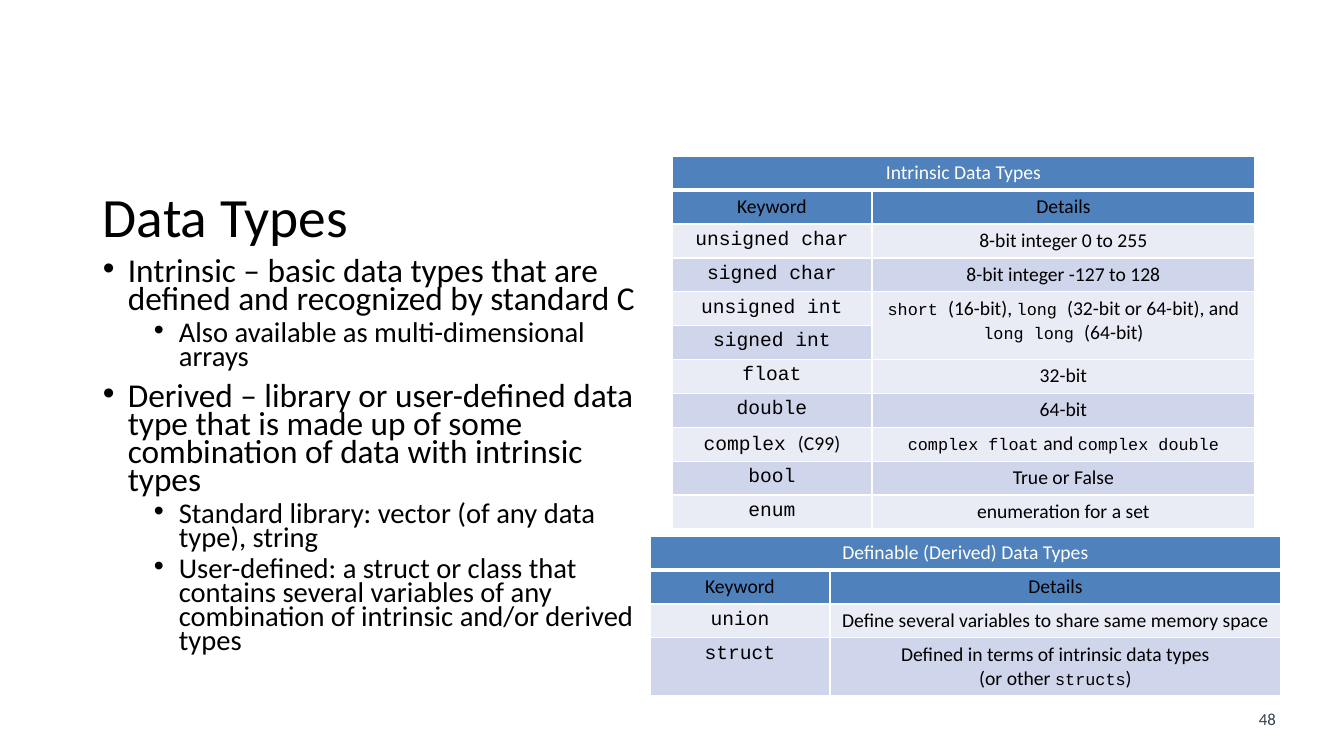
"""Build a slide that lists intrinsic and derived data types."""
from dataclasses import dataclass

from lxml import etree
from pptx import Presentation, util as u
from pptx.dml.color import RGBColor
from pptx.enum import text as t
from pptx.oxml import ns

TITLE = "Data Types"
PAGE_NUMBER = "48"
BULLETS = [
    (0, "Intrinsic – basic data types that are defined and recognized by standard C"),
    (1, "Also available as multi-dimensional arrays"),
    (0, "Derived – library or user-defined data type that is made up of some "
        "combination of data with intrinsic types"),
    (1, "Standard library: vector (of any data type), string"),
    (1, "User-defined: a struct or class that contains several variables of any "
        "combination of intrinsic and/or derived types"),
]
INTRINSIC = [
    ("Intrinsic Data Types", ""),
    ("Keyword", "Details"),
    ("`unsigned char`", "8-bit integer 0 to 255"),
    ("`signed char`", "8-bit integer -127 to 128"),
    ("`unsigned int`", "`short `(16-bit), `long `(32-bit or 64-bit), and `long long `(64-bit)"),
    ("`signed int`", ""),
    ("`float`", "32-bit"),
    ("`double`", "64-bit"),
    ("`complex `(C99)", "`complex float` and `complex double`"),
    ("`bool`", "True or False"),
    ("`enum`", "enumeration for a set"),
]
DERIVED = [
    ("Definable (Derived) Data Types", ""),
    ("Keyword", "Details"),
    ("`union`", "Define several variables to share same memory space"),
    ("`struct`", "Defined in terms of intrinsic data types\n(or other `structs`)"),
]
TABLES = [
    dict(rows=INTRINSIC, left=672, top=156, widths=(200, 383),
         special_heights={4: 32, 5: 32}, merges=[(0, 0, 0, 1), (4, 1, 5, 1)]),
    dict(rows=DERIVED, left=650, top=536, widths=(180, 451),
         special_heights={3: 58}, merges=[(0, 0, 0, 1)]),
]
LEVELS = [dict(size=23.8, margin=25, before=10), dict(size=20.4, margin=76, before=5)]
HANGING = 25
ROW_HEIGHT = 34


@dataclass(frozen=True)
class Theme:
    body_font: str = "Calibri"
    code_font: str = "Courier New"
    ink: str = "000000"
    white: str = "FFFFFF"
    page: str = "333F50"
    header: str = "4F81BD"
    bands: tuple = ("E9EBF5", "CFD5EA")
    title_size: float = 39.6
    cell_size: float = 14
    code_size: float = 12
    page_size: float = 12


THEME = Theme()


def px(count):
    return u.Emu(round(count * 914400 / 100.8))


def write(paragraph, content, size, color=THEME.ink, code_size=None,
          align=t.PP_ALIGN.LEFT, spacing=None, before=0):
    """Write text into a paragraph, with backticks around code."""
    paragraph.alignment = align
    paragraph.space_before = u.Pt(before)
    if spacing:
        paragraph.line_spacing = spacing
    for part, chunk in enumerate(content.split("`")):
        is_code = part % 2 == 1
        for number, line in enumerate(chunk.split("\n")):
            if number:
                paragraph.add_line_break()
            if line:
                run = paragraph.add_run()
                run.text = line
                run.font.name = THEME.code_font if is_code else THEME.body_font
                run.font.size = u.Pt(code_size if is_code and code_size else size)
                run.font.bold = False
                run.font.color.rgb = RGBColor.from_string(color)


def add_text_box(slide, left, top, width, height, anchor=t.MSO_ANCHOR.TOP):
    frame = slide.shapes.add_textbox(*map(px, (left, top, width, height))).text_frame
    frame.word_wrap = True
    frame.vertical_anchor = anchor
    return frame


def add_bullet(paragraph, margin):
    properties = paragraph._p.get_or_add_pPr()
    properties.set("marL", str(px(margin)))
    properties.set("indent", str(-px(HANGING)))
    etree.SubElement(properties, ns.qn("a:buFont"), typeface="Arial")
    etree.SubElement(properties, ns.qn("a:buChar"), char="•")


def add_borders(cell, bottom):
    properties = cell._tc.get_or_add_tcPr()
    for side, width in (("L", 1), ("R", 1), ("T", 1), ("B", bottom)):
        line = etree.SubElement(properties, ns.qn("a:ln" + side), w=str(u.Pt(width)))
        fill = etree.SubElement(line, ns.qn("a:solidFill"))
        etree.SubElement(fill, ns.qn("a:srgbClr"), val=THEME.white)


def add_type_table(slide, rows, left, top, widths, special_heights, merges):
    heights = [special_heights.get(index, ROW_HEIGHT) for index in range(len(rows))]
    table = slide.shapes.add_table(len(rows), len(widths), px(left), px(top),
                                   px(sum(widths)), px(sum(heights))).table
    for column, width in zip(table.columns, widths):
        column.width = px(width)
    for row, height in zip(table.rows, heights):
        row.height = px(height)
    for row_index, row in enumerate(rows):
        background = THEME.header if row_index < 2 else THEME.bands[row_index % 2]
        for column_index, content in enumerate(row):
            cell = table.cell(row_index, column_index)
            add_borders(cell, bottom=1 if row_index else 3)
            cell.fill.solid()
            cell.fill.fore_color.rgb = RGBColor.from_string(background)
            write(cell.text_frame.paragraphs[0], content, THEME.cell_size,
                  color=THEME.ink if row_index else THEME.white,
                  code_size=THEME.code_size if column_index else None,
                  align=t.PP_ALIGN.CENTER)
    for first_row, first_column, last_row, last_column in merges:
        table.cell(first_row, first_column).merge(table.cell(last_row, last_column))


def main():
    presentation = Presentation()
    presentation.slide_width, presentation.slide_height = px(1344), px(756)
    slide = presentation.slides.add_slide(presentation.slide_layouts[6])

    page = add_text_box(slide, 1244, 704, 47, 30)
    write(page.paragraphs[0], PAGE_NUMBER, THEME.page_size, color=THEME.page,
          align=t.PP_ALIGN.CENTER)
    title = add_text_box(slide, 93, 184, 1159, 71, anchor=t.MSO_ANCHOR.MIDDLE)
    write(title.paragraphs[0], TITLE, THEME.title_size, spacing=0.9)

    body = add_text_box(slide, 93, 255, 557, 439)
    for index, (level, content) in enumerate(BULLETS):
        paragraph = body.add_paragraph() if index else body.paragraphs[0]
        style = LEVELS[level]
        paragraph.level = level
        write(paragraph, content, style["size"], spacing=0.7, before=style["before"])
        add_bullet(paragraph, style["margin"])

    for table in TABLES:
        add_type_table(slide, **table)
    presentation.save("out.pptx")


if __name__ == "__main__":
    main()
